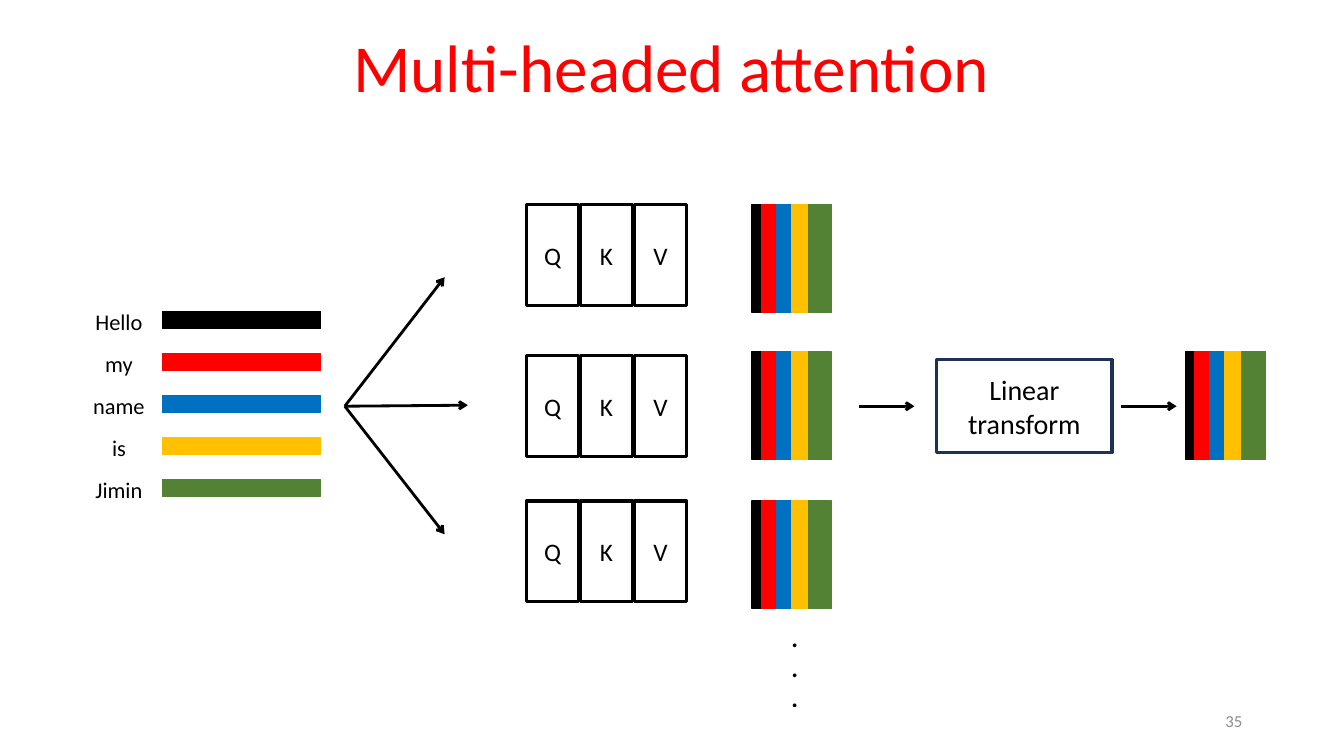
from itertools import accumulate

from lxml import etree
from pptx import Presentation
from pptx.dml.color import RGBColor
from pptx.enum.shapes import MSO_CONNECTOR, MSO_SHAPE
from pptx.enum.text import MSO_ANCHOR, PP_ALIGN
from pptx.oxml.ns import qn
from pptx.util import Inches, Pt

RECT, STRAIGHT = MSO_SHAPE.RECTANGLE, MSO_CONNECTOR.STRAIGHT
LEFT, CENTER, RIGHT = PP_ALIGN.LEFT, PP_ALIGN.CENTER, PP_ALIGN.RIGHT
TOP, MIDDLE, BOTTOM = MSO_ANCHOR.TOP, MSO_ANCHOR.MIDDLE, MSO_ANCHOR.BOTTOM

THEME = {
    "font": "Calibri", "ink": "000000", "title": "FF0000", "paper": "FFFFFF",
    "muted": "8C8C8C", "frame": "1E3256",
    "title_size": 48, "transform_size": 20, "head_size": 18,
    "word_size": 16, "number_size": 12,
    "edge": 1, "arrow": 2, "outline": 2.25,
}
WORDS = {"Hello": "000000", "my": "FF0000", "name": "0070C0",
         "is": "FFC000", "Jimin": "548235"}

# Grid: columns and rows of the diagram, in inches
WORD_COL, BAR_COL, FAN_COL, HEAD_COL, STRIPE_COL = 0.75, 1.61, 3.42, 5.22, 7.46
TRANSFORM_COL, RESULT_COL = 9.29, 11.76
AXIS = 4.03
WORD_ROW, WORD_PITCH = 3.09, 0.417
HEAD_PITCH = 0.535
HEAD_ROWS = (2.03, 3.53, 4.97)
STRIPE_ROWS = (2.03, 3.49, 4.97)
STRIPE_WIDTHS = (0.09, 0.15, 0.15, 0.17, 0.23)

deck = Presentation()
deck.slide_width, deck.slide_height = Inches(13.33), Inches(7.5)
slide = deck.slides.add_slide(deck.slide_layouts[6])


def add_block(shapes, area, fill, line, weight):
    block = shapes.add_shape(RECT, *map(Inches, area))
    block.shadow.inherit = False
    if fill:
        block.fill.solid()
        block.fill.fore_color.rgb = RGBColor.from_string(fill)
    else:
        block.fill.background()
    block.line.color.rgb = RGBColor.from_string(line)
    block.line.width = Pt(weight)
    return block


def write(holder, lines, size, color=THEME["ink"], align=CENTER, anchor=MIDDLE,
          bold=False, spacing=1.0):
    frame = holder.text_frame
    frame.word_wrap = True
    frame.vertical_anchor = anchor
    for index, line in enumerate(lines):
        paragraph = frame.add_paragraph() if index else frame.paragraphs[0]
        paragraph.alignment = align
        paragraph.line_spacing = spacing
        run = paragraph.add_run()
        run.text = line
        run.font.name, run.font.size, run.font.bold = THEME["font"], Pt(size), bold
        run.font.color.rgb = RGBColor.from_string(color)


# Slide number and title
number = slide.shapes.add_textbox(*map(Inches, (9.42, 6.95, 3, 0.4)))
write(number, ["35"], THEME["number_size"], THEME["muted"], RIGHT)
title = slide.shapes.add_textbox(*map(Inches, (0.91, 0.02, 11.5, 1.09)))
write(title, ["Multi-headed attention"], THEME["title_size"], THEME["title"],
      anchor=BOTTOM, spacing=0.9)

# Input words, each with its embedding bar
sentence = slide.shapes.add_group_shape().shapes
for index, (word, color) in enumerate(WORDS.items()):
    row = WORD_ROW + index * WORD_PITCH
    add_block(sentence, (BAR_COL, row, 1.57, 0.17), color, color, THEME["edge"])
    label = sentence.add_textbox(*map(Inches, (WORD_COL, row - 0.08, 0.86, 0.38)))
    write(label, [word], THEME["word_size"], anchor=TOP)

# Attention heads
for row in HEAD_ROWS:
    for index, letter in enumerate("QKV"):
        head = add_block(slide.shapes, (HEAD_COL + index * HEAD_PITCH, row, 0.52, 1),
                         None, THEME["ink"], THEME["outline"])
        write(head, [letter], THEME["head_size"])

# Head outputs, and the final output after the transform
outputs = [(STRIPE_COL, row) for row in STRIPE_ROWS] + [(RESULT_COL, STRIPE_ROWS[1])]
offsets = list(accumulate(STRIPE_WIDTHS, initial=0))
for left, top in outputs:
    stripes = slide.shapes.add_group_shape().shapes
    for offset, width, color in zip(offsets, STRIPE_WIDTHS, WORDS.values()):
        add_block(stripes, (left + offset, top, width, 1.07), color, color, THEME["edge"])

# More heads follow
more = slide.shapes.add_textbox(*map(Inches, (7.75, 6.12, 0.39, 1.01)))
write(more, ["."] * 3, THEME["head_size"], align=LEFT, anchor=TOP, bold=True)

# Linear transform
transform = add_block(slide.shapes, (TRANSFORM_COL, AXIS - 0.46, 1.74, 0.92),
                      THEME["paper"], THEME["frame"], THEME["outline"])
write(transform, ["Linear transform"], THEME["transform_size"])

# Arrows: fan-out to the heads, then into and out of the transform
arrows = [
    (FAN_COL, 4.41, AXIS - 1.28),
    (FAN_COL, 4.64, AXIS - 0.01),
    (FAN_COL, 4.41, AXIS + 1.27),
    (8.52, 9.07, AXIS),
    (11.12, 11.67, AXIS),
]
for start, end, end_row in arrows:
    arrow = slide.shapes.add_connector(
        STRAIGHT, *map(Inches, (start, AXIS, end, end_row)))
    arrow.line.color.rgb = RGBColor.from_string(THEME["ink"])
    arrow.line.width = Pt(THEME["arrow"])
    properties = arrow.line._get_or_add_ln()
    etree.SubElement(properties, qn("a:tailEnd"), type="arrow")
    etree.SubElement(properties.getparent(), qn("a:effectLst"))

deck.save("out.pptx")
